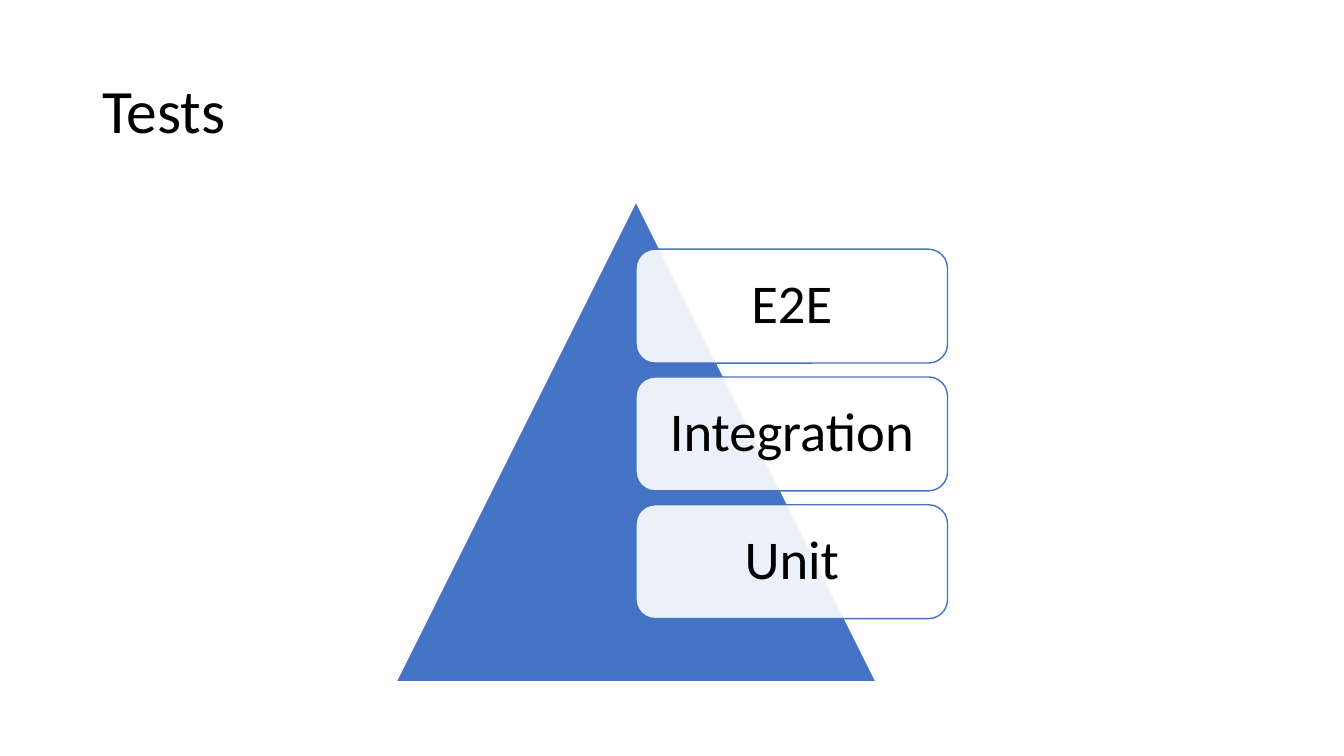
from dataclasses import dataclass

from lxml.etree import SubElement
from pptx import Presentation
from pptx.dml.color import RGBColor
from pptx.enum.shapes import MSO_SHAPE
from pptx.enum.text import MSO_ANCHOR, PP_ALIGN
from pptx.oxml.ns import qn
from pptx.shapes.autoshape import Shape
from pptx.slide import Slide
from pptx.util import Cm, Pt

BLACK = RGBColor(0x00, 0x00, 0x00)
WHITE = RGBColor(0xFF, 0xFF, 0xFF)
BLUE = RGBColor(0x44, 0x72, 0xC4)

LEVELS = ("E2E", "Integration", "Unit")
LEVEL_TOP = 6.28
LEVEL_PITCH = 3.22


@dataclass(frozen=True)
class Area:
    left: float
    top: float
    width: float
    height: float

    def lengths(self) -> tuple[Cm, Cm, Cm, Cm]:
        return Cm(self.left), Cm(self.top), Cm(self.width), Cm(self.height)


@dataclass(frozen=True)
class Label:
    text: str
    size: int
    align: PP_ALIGN
    inset: float


def apply_format(target: object, values: dict[str, object]) -> None:
    for name, value in values.items():
        setattr(target, name, value)


def write_label(box: Shape, label: Label) -> None:
    frame = box.text_frame
    apply_format(frame, {
        "word_wrap": True,
        "vertical_anchor": MSO_ANCHOR.MIDDLE,
        "margin_left": Cm(label.inset),
        "margin_right": Cm(label.inset),
    })
    para = frame.paragraphs[0]
    apply_format(para, {"alignment": label.align, "line_spacing": 0.9})
    span = para.add_run()
    span.text = label.text
    apply_format(span.font, {"name": "Calibri", "size": Pt(label.size)})
    span.font.color.rgb = BLACK


def draw_shape(page: Slide, kind: MSO_SHAPE, area: Area, fill: RGBColor, line: RGBColor) -> Shape:
    shape = page.shapes.add_shape(kind, *area.lengths())
    shape.shadow.inherit = False
    shape.fill.solid()
    shape.fill.fore_color.rgb = fill
    shape.line.color.rgb = line
    shape.line.width = Pt(1)
    return shape


def set_opacity(shape: Shape, percent: int) -> None:
    color = shape.fill._xPr.find(qn("a:solidFill"))[0]
    SubElement(color, qn("a:alpha"), val=str(percent * 1000))


def draw_level(page: Slide, index: int, text: str) -> None:
    area = Area(16.03, LEVEL_TOP + index * LEVEL_PITCH, 7.85, 2.87)
    box = draw_shape(page, MSO_SHAPE.ROUNDED_RECTANGLE, area, WHITE, BLUE)
    set_opacity(box, 90)
    write_label(box, Label(text, 39, PP_ALIGN.CENTER, 0.55))


deck = Presentation()
apply_format(deck, {"slide_width": Cm(33.87), "slide_height": Cm(19.05)})
page = deck.slides.add_slide(deck.slide_layouts[6])

title = page.shapes.add_textbox(*Area(2.33, 1.01, 29.21, 3.68).lengths())
write_label(title, Label("Tests", 44, PP_ALIGN.LEFT, 0.25))

draw_shape(page, MSO_SHAPE.ISOSCELES_TRIANGLE, Area(9.98, 5.08, 12.1, 12.1), BLUE, WHITE)
for index, text in enumerate(LEVELS):
    draw_level(page, index, text)

deck.save("out.pptx")
